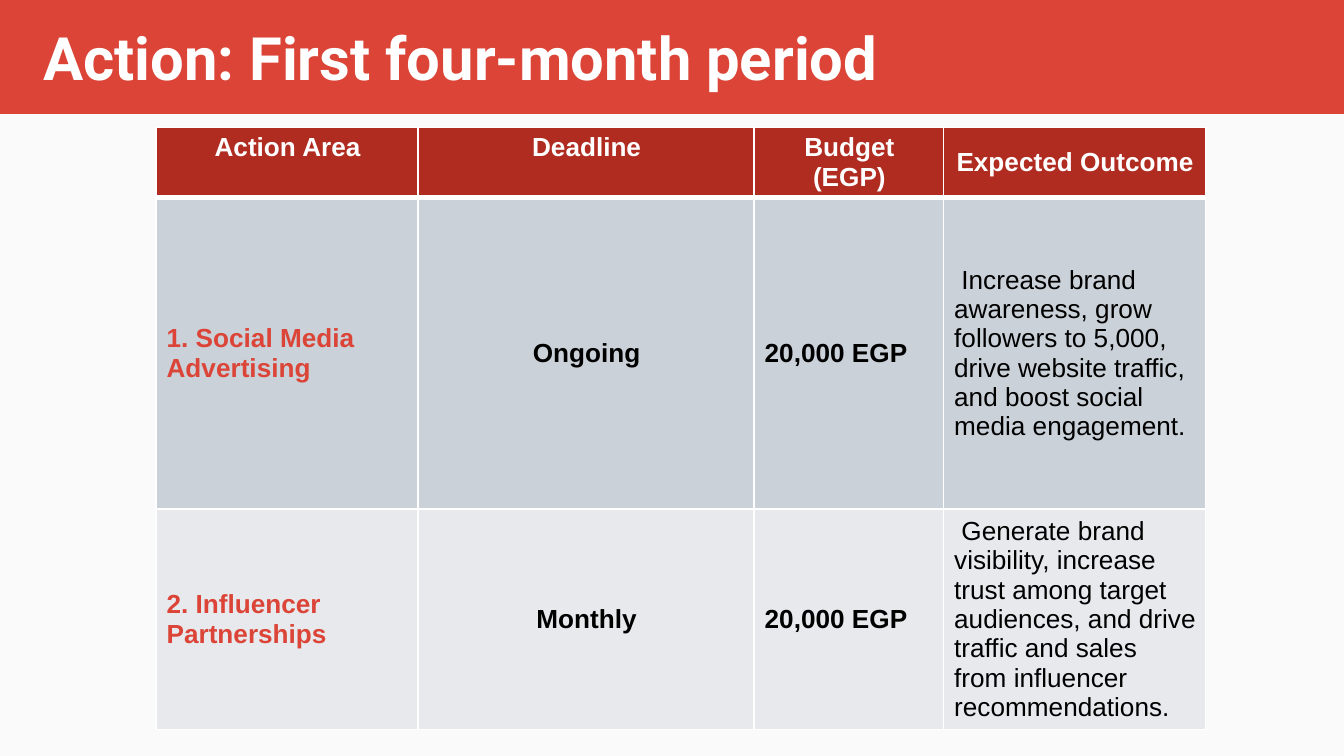
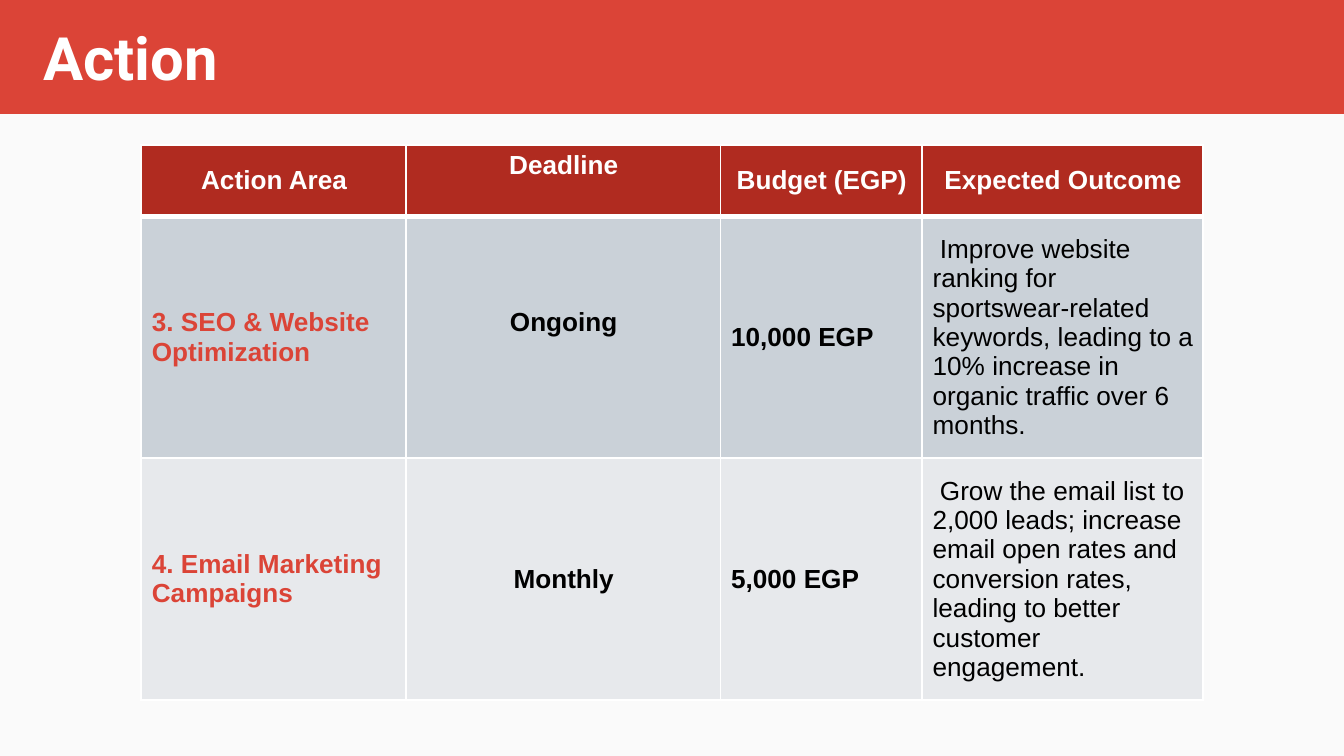
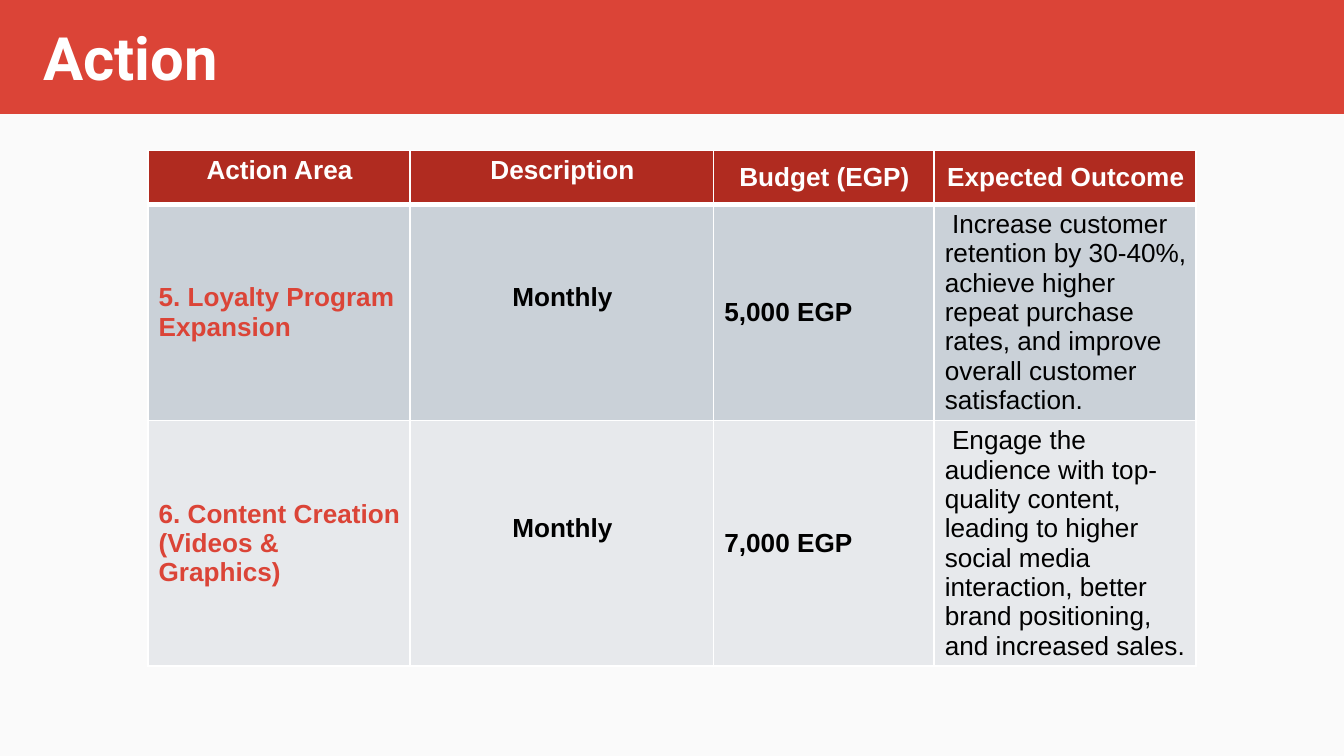
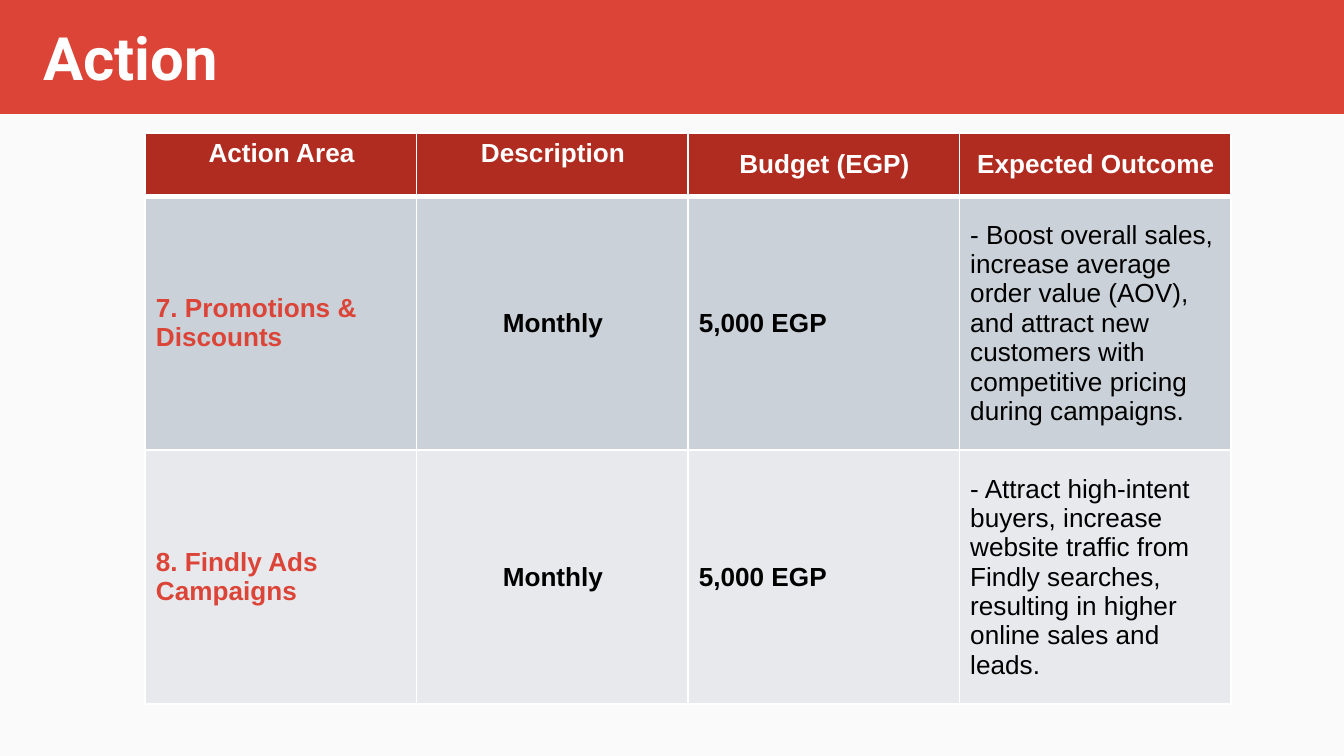
from lxml import etree
from pptx import Presentation
from pptx.dml.color import RGBColor
from pptx.enum import shapes, text
from pptx.oxml import ns
from pptx.util import Inches, Pt

COLORS = {
    "background": "4285F4",
    "panel": "FAFAFA",
    "band": "DB4437",
    "header": "B02B20",
    "odd_row": "CAD1D8",
    "even_row": "E7E9EC",
    "white": "FFFFFF",
    "black": "000000",
}
TITLE_FONT, TABLE_FONT = "Roboto", "Arial"
WIDTH = 10
HEIGHT = WIDTH * 9 / 16
BAND_HEIGHT, PANEL_TOP = 0.84, 0.72
LEFT_INSET, RIGHT_INSET, EDGE_INSET = 0.08, 0.07, 0.04
LINE_HEIGHT = 0.22
MIDDLE, TOP = text.MSO_ANCHOR.MIDDLE, text.MSO_ANCHOR.TOP
LEFT, CENTER = text.PP_ALIGN.LEFT, text.PP_ALIGN.CENTER

# One entry per slide; "raised" rows hold their timing half a line above the middle
PLANS = [
    {
        "title": "Action: First four-month period",
        "position": (1.16, 0.95),
        "columns": [1.95, 2.5, 1.41, 1.95],
        "rows": [0.52, 2.32, 1.64],
        "timing": "Deadline",
        "top_headers": (0, 1),
        "raised": (),
        "actions": [
            ("1. Social Media Advertising", "Ongoing", "20,000 EGP",
             " Increase brand awareness, grow followers to 5,000, drive website "
             "traffic, and boost social media engagement."),
            ("2. Influencer Partnerships", "Monthly", "20,000 EGP",
             " Generate brand visibility, increase trust among target audiences, "
             "and drive traffic and sales from influencer recommendations."),
        ],
    },
    {
        "title": "Action",
        "position": (1.05, 1.08),
        "columns": [1.97, 2.34, 1.5, 2.09],
        "rows": [0.53, 1.8, 1.8],
        "timing": "Deadline",
        "top_headers": (1,),
        "raised": (1,),
        "actions": [
            ("3. SEO & Website Optimization", "Ongoing", "10,000 EGP",
             " Improve website ranking for sportswear-related keywords, leading "
             "to a 10% increase in organic traffic over 6 months."),
            ("4. Email Marketing Campaigns", "Monthly", "5,000 EGP",
             " Grow the email list to 2,000 leads; increase email open rates and "
             "conversion rates, leading to better customer engagement."),
        ],
    },
    {
        "title": "Action",
        "position": (1.1, 1.12),
        "columns": [1.95, 2.26, 1.64, 1.95],
        "rows": [0.4, 1.6, 1.81],
        "timing": "Description",
        "top_headers": (0, 1),
        "raised": (1, 2),
        "actions": [
            ("5. Loyalty Program Expansion", "Monthly", "5,000 EGP",
             " Increase customer retention by 30-40%, achieve higher repeat "
             "purchase rates, and improve overall customer satisfaction."),
            ("6. Content Creation (Videos & Graphics)", "Monthly", "7,000 EGP",
             " Engage the audience with top-quality content, leading to higher "
             "social media interaction, better brand positioning, and increased "
             "sales."),
        ],
    },
    {
        "title": "Action",
        "position": (1.08, 0.99),
        "columns": [2.02] * 4,
        "rows": [0.47, 1.89, 1.89],
        "timing": "Description",
        "top_headers": (0, 1),
        "raised": (),
        "actions": [
            ("7. Promotions & Discounts", "Monthly", "5,000 EGP",
             "- Boost overall sales, increase average order value (AOV), and "
             "attract new customers with competitive pricing during campaigns."),
            ("8. Findly Ads Campaigns", "Monthly", "5,000 EGP",
             "- Attract high-intent buyers, increase website traffic from Findly "
             "searches, resulting in higher online sales and leads."),
        ],
    },
]


def rgb(name):
    return RGBColor.from_string(COLORS[name])


def paint(fill, name):
    fill.solid()
    fill.fore_color.rgb = rgb(name)


def add_text(paragraph, content, font_name, size, color, bold):
    run = paragraph.add_run()
    run.text = content
    run.font.name = font_name
    run.font.size = Pt(size)
    run.font.bold = bold
    run.font.color.rgb = rgb(color)


def set_up_master(presentation, slide):
    """Give the master its background and the light panel under the band."""
    master = presentation.slide_master
    paint(master.background.fill, "background")
    panel = slide.shapes.add_shape(
        shapes.MSO_SHAPE.RECTANGLE, 0, Inches(PANEL_TOP),
        Inches(WIDTH), Inches(HEIGHT - PANEL_TOP))
    panel.shadow.inherit = False
    paint(panel.fill, "panel")
    panel.line.fill.background()
    master.shapes.element.insert(2, panel.element)


def add_title(slide, content):
    title = slide.shapes.title
    title.left, title.top = 0, 0
    title.width, title.height = Inches(WIDTH), Inches(BAND_HEIGHT)
    paint(title.fill, "band")
    title.line.color.rgb = rgb("band")
    title.line.width = Pt(0.75)
    frame = title.text_frame
    frame.word_wrap = True
    frame.auto_size = text.MSO_AUTO_SIZE.NONE
    frame.vertical_anchor = MIDDLE
    frame.margin_left = Inches(0.32)
    frame.margin_right = frame.margin_top = frame.margin_bottom = Inches(0.1)
    paragraph = frame.paragraphs[0]
    paragraph.alignment = LEFT
    add_text(paragraph, content, TITLE_FONT, 32, "white", True)


def set_borders(cell, top, bottom):
    """Draw white cell borders; widths are in points."""
    properties = cell._tc.get_or_add_tcPr()
    for side, width in (("L", 1), ("R", 1), ("T", top), ("B", bottom)):
        line = etree.SubElement(properties, ns.qn(f"a:ln{side}"), w=str(Pt(width)))
        fill = etree.SubElement(line, ns.qn("a:solidFill"))
        etree.SubElement(fill, ns.qn("a:srgbClr"), val=COLORS["white"])


def fill_cell(cell, content, fill, color, bold=True, alignment=LEFT,
              anchor=MIDDLE, lift=0):
    paint(cell.fill, fill)
    cell.vertical_anchor = anchor
    cell.margin_left = Inches(LEFT_INSET)
    cell.margin_right = Inches(RIGHT_INSET)
    cell.margin_top = Inches(EDGE_INSET)
    cell.margin_bottom = Inches(EDGE_INSET + lift)
    paragraph = cell.text_frame.paragraphs[0]
    paragraph.alignment = alignment
    add_text(paragraph, content, TABLE_FONT, 14, color, bold)


def add_action_table(slide, plan):
    columns, rows = plan["columns"], plan["rows"]
    left, top = plan["position"]
    table = slide.shapes.add_table(
        len(rows), len(columns), Inches(left), Inches(top),
        Inches(sum(columns)), Inches(sum(rows))).table
    for column, width in zip(table.columns, columns):
        column.width = Inches(width)
    for row, height in zip(table.rows, rows):
        row.height = Inches(height)

    # Borders, with a thick rule under the header
    for row_index, row in enumerate(table.rows):
        for cell in row.cells:
            set_borders(cell, 3 if row_index == 1 else 1, 3 if row_index == 0 else 1)

    # Header row
    headers = ("Action Area", plan["timing"], "Budget (EGP)", "Expected Outcome")
    for index, header in enumerate(headers):
        anchor = TOP if index in plan["top_headers"] else MIDDLE
        fill_cell(table.cell(0, index), header, "header", "white",
                  alignment=CENTER, anchor=anchor)

    # Action rows
    for index, (area, timing, budget, outcome) in enumerate(plan["actions"], 1):
        fill = "odd_row" if index % 2 else "even_row"
        lift = LINE_HEIGHT if index in plan["raised"] else 0
        fill_cell(table.cell(index, 0), area, fill, "band")
        fill_cell(table.cell(index, 1), timing, fill, "black",
                  alignment=CENTER, lift=lift)
        fill_cell(table.cell(index, 2), budget, fill, "black")
        fill_cell(table.cell(index, 3), outcome, fill, "black", bold=False)


def main():
    presentation = Presentation()
    presentation.slide_width = Inches(WIDTH)
    presentation.slide_height = Inches(HEIGHT)
    title_only = presentation.slide_layouts[5]
    for index, plan in enumerate(PLANS):
        slide = presentation.slides.add_slide(title_only)
        if index == 0:
            set_up_master(presentation, slide)
        add_title(slide, plan["title"])
        add_action_table(slide, plan)
    presentation.save("out.pptx")


if __name__ == "__main__":
    main()
